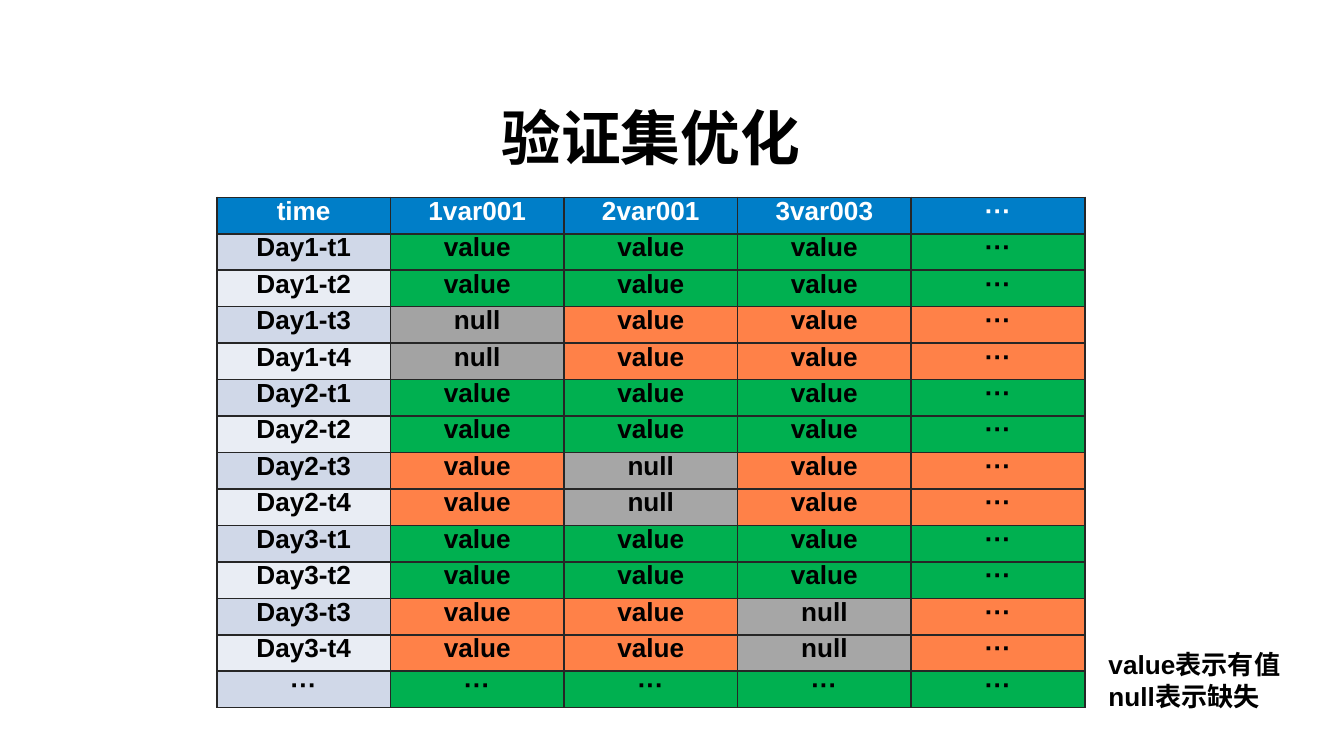
from dataclasses import dataclass
from typing import Any

from lxml.etree import SubElement
from pptx import Presentation
from pptx.dml.color import RGBColor
from pptx.enum.text import MSO_ANCHOR, MSO_AUTO_SIZE, PP_ALIGN
from pptx.oxml import parse_xml
from pptx.oxml.ns import nsdecls, qn
from pptx.util import Cm, Pt

HUES = {
    "black": "000000", "white": "FFFFFF", "edge": "262626", "head": "007EC8",
    "odd": "D0D8E8", "even": "E9EDF4", "full": "00B050", "part": "FF8148",
    "clear": "808080", "gray": "A6A6A6",
}
DOTS = "···"
FONT = {"name": "Arial", "bold": True}
FRAME = {"word_wrap": True, "auto_size": MSO_AUTO_SIZE.SHAPE_TO_FIT_TEXT}
CELL = {
    "vertical_anchor": MSO_ANCHOR.MIDDLE,
    "margin_left": Cm(0.25), "margin_right": Cm(0.25),
    "margin_top": Cm(0.13), "margin_bottom": Cm(0.13),
}


@dataclass
class Label:
    lines: list[str]
    left: float
    top: float
    width: float
    height: float
    size: int
    align: PP_ALIGN


@dataclass
class Entry:
    text: str
    fill: str
    ink: str = "black"
    alpha: int = 100


LABELS = [
    Label(["验证集优化"], 0.99, 1.78, 22.63, 1.63, 32, PP_ALIGN.CENTER),
    Label(["value表示有值", "null表示缺失"], 20.7, 12.14, 3.86, 1.45, 14, PP_ALIGN.LEFT),
]


def apply(item: Any, form: dict[str, Any]) -> None:
    for key, val in form.items():
        setattr(item, key, val)


def write(para: Any, text: str, size: int, ink: str, align: PP_ALIGN) -> None:
    para.alignment = align
    run = para.add_run()
    run.text = text
    apply(run.font, FONT | {"size": Pt(size)})
    run.font.color.rgb = RGBColor.from_string(HUES[ink])


def draw_label(slide: Any, label: Label) -> None:
    area = [Cm(n) for n in (label.left, label.top, label.width, label.height)]
    frame = slide.shapes.add_textbox(*area).text_frame
    apply(frame, FRAME)
    for pos, line in enumerate(label.lines):
        para = frame.add_paragraph() if pos else frame.paragraphs[0]
        write(para, line, label.size, "black", label.align)


def draw_edge(cell: Any) -> None:
    props = cell._tc.get_or_add_tcPr()
    for pos, side in enumerate("LRTB"):
        props.insert(pos, parse_xml(
            f'<a:ln{side} {nsdecls("a")} w="{Pt(1)}"><a:solidFill>'
            f'<a:srgbClr val="{HUES["edge"]}"/></a:solidFill></a:ln{side}>'
        ))


def draw_cell(cell: Any, entry: Entry) -> None:
    apply(cell, CELL)
    para = cell.text_frame.paragraphs[0]
    write(para, entry.text, 14, entry.ink, PP_ALIGN.CENTER)
    para.line_spacing = Pt(11)
    cell.fill.solid()
    cell.fill.fore_color.rgb = RGBColor.from_string(HUES[entry.fill])
    if entry.alpha < 100:
        hue = cell._tc.tcPr.find(f"{qn('a:solidFill')}/{qn('a:srgbClr')}")
        SubElement(hue, qn("a:alpha"), val=str(entry.alpha * 1000))
    draw_edge(cell)


def day_row(day: int, time: int) -> list[Entry]:
    band = "odd" if time % 2 else "even"
    whole = time <= 2
    fill = "full" if whole else "part"
    void = Entry("null", "clear", alpha=72) if day == 1 else Entry("null", "gray")
    vals = [
        void if var == day and not whole else Entry("value", fill)
        for var in range(1, 4)
    ]
    return [Entry(f"Day{day}-t{time}", band), *vals, Entry(DOTS, fill)]


def draw_table(slide: Any) -> None:
    names = ["time", "1var001", "2var001", "3var003", DOTS]
    grid = [[Entry(name, "head", "white") for name in names]]
    grid += [day_row(day, time) for day in range(1, 4) for time in range(1, 5)]
    grid.append([Entry(DOTS, "odd")] + [Entry(DOTS, "full")] * 4)
    wide, high = Cm(3.28), Cm(0.69)
    rows, cols = len(grid), len(names)
    table = slide.shapes.add_table(
        rows, cols, Cm(4.1), Cm(3.73), wide * cols, high * rows
    ).table
    for col in table.columns:
        col.width = wide
    for row, line in zip(table.rows, grid):
        row.height = high
        for cell, entry in zip(row.cells, line):
            draw_cell(cell, entry)


def main() -> None:
    deck = Presentation()
    apply(deck, {"slide_width": Cm(25.4), "slide_height": Cm(14.29)})
    slide = deck.slides.add_slide(deck.slide_layouts[6])
    for label in LABELS:
        draw_label(slide, label)
    draw_table(slide)
    deck.save("out.pptx")


if __name__ == "__main__":
    main()
